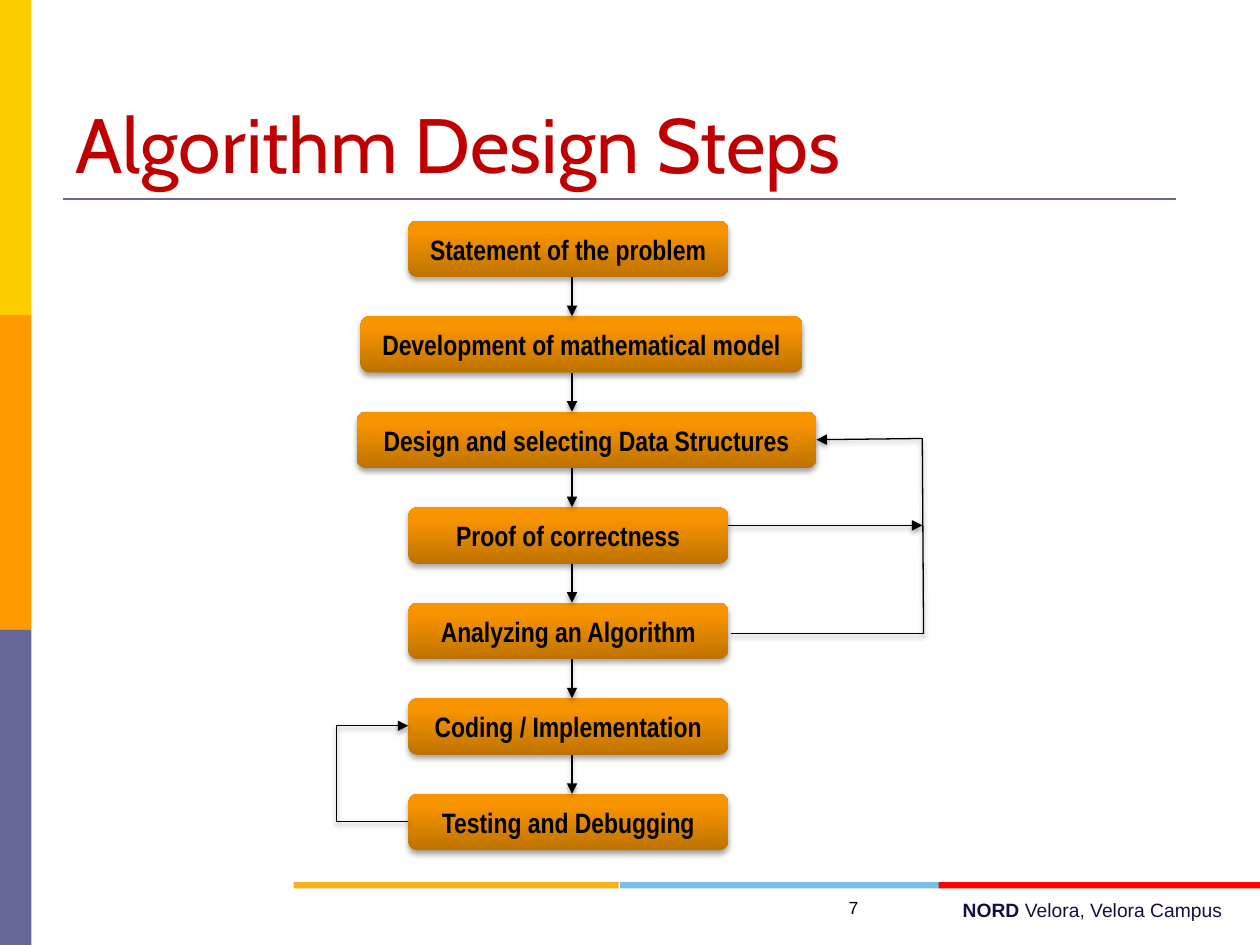
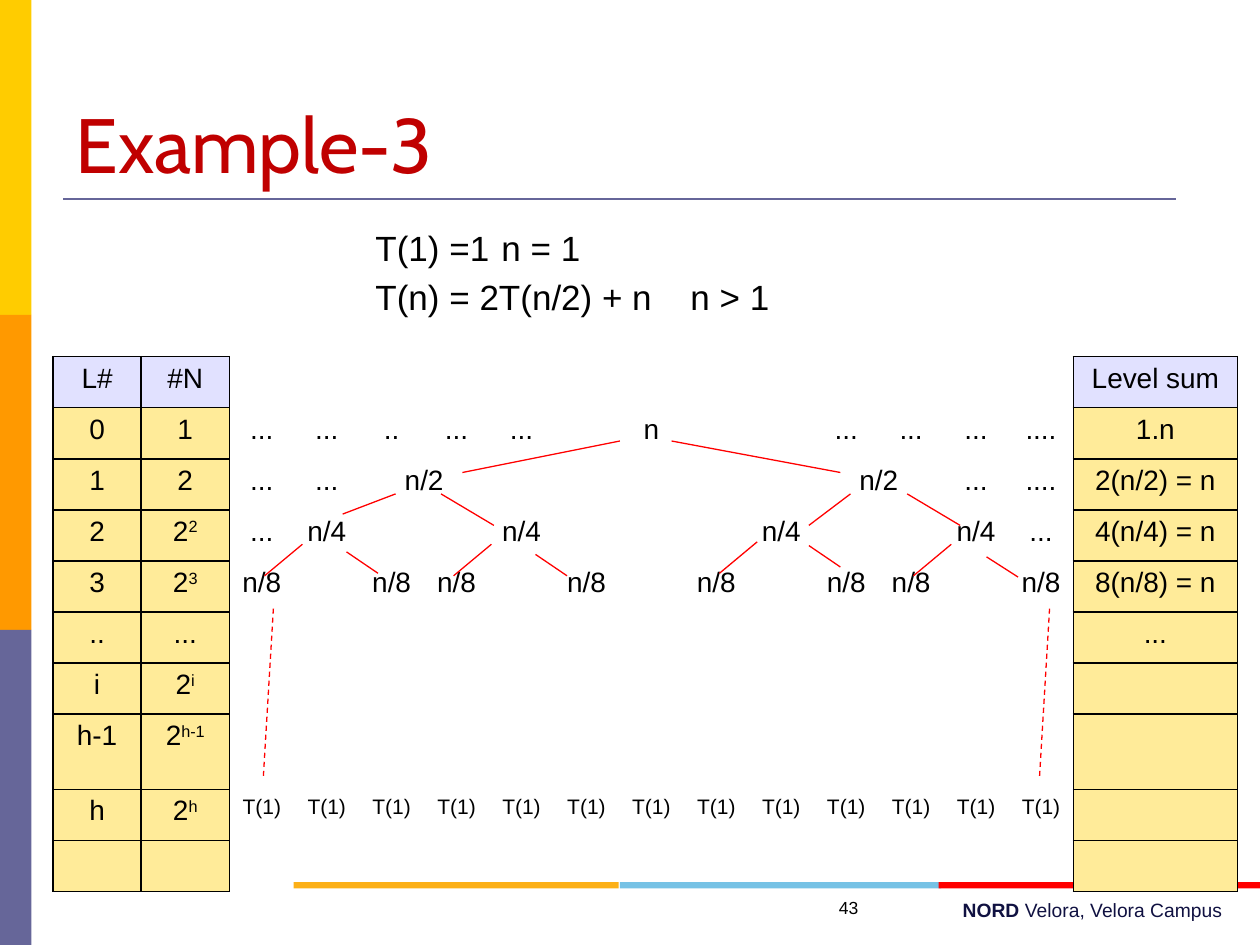
import pptx
import pptx.util
import pptx.dml.color
import pptx.enum.dml
import pptx.enum.shapes
import pptx.enum.text
import pptx.oxml
import pptx.oxml.ns
from lxml import etree
from dataclasses import dataclass

Inches, Pt = pptx.util.Inches, pptx.util.Pt
RGB = pptx.dml.color.RGBColor.from_string
Shape = pptx.enum.shapes.MSO_SHAPE
Align = pptx.enum.text.PP_ALIGN
Anchor = pptx.enum.text.MSO_ANCHOR
qn = pptx.oxml.ns.qn


@dataclass(frozen=True)
class Theme:
    yellow: str = "FFCC00"
    orange: str = "FF9900"
    violet: str = "666699"
    gold: str = "FCB017"
    sky: str = "76C2E5"
    red: str = "FF0000"
    navy: str = "101141"
    title: str = "C00000"
    ink: str = "000000"
    step_dark: str = "BE7200"
    step_light: str = "F79400"
    head_cell: str = "E1E1FF"
    side_cell: str = "FFEB99"
    title_font: str = "Cabin"
    text_font: str = "Arial"
    step_font: str = "Arial Narrow"
    title_size: int = 44
    body_size: int = 20
    label_size: int = 16
    leaf_size: int = 12
    footer_size: int = 11
    number_size: int = 10


theme = Theme()


def set_shadow(shape, alpha=0, distance=0):
    """Give a shape a soft shadow below it, or none when alpha is 0."""
    effects = etree.SubElement(shape._element.spPr, qn("a:effectLst"))
    if alpha:
        outer = etree.SubElement(effects, qn("a:outerShdw"), blurRad=str(Pt(3.1)),
                                 dist=str(Pt(distance)), dir="5400000", rotWithShape="0")
        black = etree.SubElement(outer, qn("a:srgbClr"), val=theme.ink)
        etree.SubElement(black, qn("a:alpha"), val=str(alpha * 1000))


def add_line(slide, start, end, color, width=0.75, arrow=False, dashed=False, alpha=0):
    line = slide.shapes.add_connector(pptx.enum.shapes.MSO_CONNECTOR.STRAIGHT,
                                      *[Inches(v) for v in (*start, *end)])
    line.line.color.rgb = RGB(color)
    line.line.width = Pt(width)
    if dashed:
        line.line.dash_style = pptx.enum.dml.MSO_LINE.DASH
    if arrow:
        etree.SubElement(line.line._get_or_add_ln(), qn("a:tailEnd"), type="triangle")
    set_shadow(line, alpha, 1.6)


deck = pptx.Presentation()
deck.slide_width, deck.slide_height = Inches(10), Inches(7.5)

# Shared frame: side band, title with rule, footer strip
bands = [
    (0, 0, 0.25, 2.5, theme.yellow),
    (0, 2.5, 0.25, 2.5, theme.orange),
    (0, 5, 0.25, 2.5, theme.violet),
    (4.92, 7, 2.55, 0.05, theme.sky),
    (2.33, 7, 2.58, 0.05, theme.gold),
    (7.45, 7, 2.55, 0.05, theme.red),
]
for heading, number, layout in [("Algorithm Design Steps", "7", 5), ("Example-3", "43", 1)]:
    slide = deck.slides.add_slide(deck.slide_layouts[layout])
    for *box, color in bands:
        band = slide.shapes.add_shape(Shape.RECTANGLE, *[Inches(v) for v in box])
        band.fill.solid()
        band.fill.fore_color.rgb = RGB(color)
        band.line.fill.background()
        band.shadow.inherit = False
    add_line(slide, (0.5, 1.58), (9.33, 1.58), theme.violet, 1.5)

    title = slide.shapes.title
    title.left, title.top, title.width, title.height = [Inches(v) for v in (0.5, 0.3, 9, 1.25)]
    title.text_frame.text = heading
    title.text_frame.vertical_anchor = Anchor.BOTTOM
    paragraph = title.text_frame.paragraphs[0]
    paragraph.alignment = Align.LEFT
    paragraph.font.name, paragraph.font.size = theme.title_font, Pt(theme.title_size)
    paragraph.font.color.rgb = RGB(theme.title)

    for box, parts, size, color in [
        ((3.38, 7.08, 6.42, 0.29), ["NORD ", "Velora, Velora Campus"], theme.footer_size, theme.navy),
        ((4.58, 7.07, 2.33, 0.5), [number], theme.number_size, theme.ink),
    ]:
        footer = slide.shapes.add_textbox(*[Inches(v) for v in box])
        footer.text_frame.word_wrap = True
        paragraph = footer.text_frame.paragraphs[0]
        paragraph.alignment = Align.RIGHT
        paragraph.font.name, paragraph.font.size = theme.text_font, Pt(size)
        paragraph.font.color.rgb = RGB(color)
        for part in parts:
            run = paragraph.add_run()
            run.text = part
            run.font.bold = len(parts) > 1 and part == parts[0]

steps_slide, example_slide = deck.slides

# Design steps: one box per row
first_top, box_height = 1.75, 0.45
pitch = (6.3 - first_top) / 6
steps = [
    ("Statement of the problem", 3.24, 2.54),
    ("Development of mathematical model", 2.86, 3.51),
    ("Design and selecting Data Structures", 2.83, 3.65),
    ("Proof of correctness", 3.24, 2.54),
    ("Analyzing an Algorithm", 3.24, 2.54),
    ("Coding / Implementation", 3.24, 2.54),
    ("Testing and Debugging", 3.24, 2.54),
]
for row, (label, left, width) in enumerate(steps):
    top = first_top + row * pitch
    step = steps_slide.shapes.add_shape(
        Shape.FLOWCHART_ALTERNATE_PROCESS, *[Inches(v) for v in (left, top, width, box_height)])
    step.fill.gradient()
    step.fill.gradient_angle = 90
    for stop, position, color in zip(step.fill.gradient_stops, (0, 0.8),
                                     (theme.step_dark, theme.step_light)):
        stop.position = position
        stop.color.rgb = RGB(color)
    step.line.fill.background()
    set_shadow(step, 35, 1.8)
    step.text_frame.text = label
    step.text_frame.word_wrap = True
    step.text_frame.vertical_anchor = Anchor.MIDDLE
    paragraph = step.text_frame.paragraphs[0]
    paragraph.alignment = Align.CENTER
    paragraph.font.name, paragraph.font.size = theme.step_font, Pt(theme.label_size)
    paragraph.font.bold = True
    paragraph.font.color.rgb = RGB(theme.ink)

# Arrows down, then the two feedback loops
for row in range(len(steps) - 1):
    top = first_top + row * pitch
    add_line(steps_slide, (4.54, top + box_height), (4.54, top + pitch), theme.ink,
             arrow=True, alpha=38)
for start, end, arrow in [
    ((5.8, 5.03), (7.33, 5.03), False),
    ((7.33, 5.03), (7.32, 3.48), False),
    ((7.32, 3.48), (6.48, 3.49), True),
    ((5.78, 4.17), (7.32, 4.17), True),
    ((3.24, 6.52), (2.67, 6.52), False),
    ((2.67, 6.52), (2.67, 5.76), False),
    ((2.67, 5.76), (3.24, 5.76), True),
]:
    add_line(steps_slide, start, end, theme.ink, arrow=arrow, alpha=38)

# Recurrence: two columns set by the inset and one tab stop
recurrence = example_slide.placeholders[1]
recurrence.left, recurrence.top, recurrence.width, recurrence.height = [
    Inches(v) for v in (0.5, 1.75, 9, 4.95)]
recurrence.text_frame.margin_left = Inches(2.48)
recurrence.text_frame.text = "T(1) =1\tn = 1\nT(n) = 2T(n/2) + n\tn > 1"
for paragraph in recurrence.text_frame.paragraphs:
    paragraph.font.name, paragraph.font.size = theme.text_font, Pt(theme.body_size)
    paragraph.font.color.rgb = RGB(theme.ink)
    properties = paragraph._p.get_or_add_pPr()
    properties.set("marL", "0")
    properties.set("indent", "0")
    no_bullet = etree.Element(qn("a:buNone"))
    tabs = etree.Element(qn("a:tabLst"))
    etree.SubElement(tabs, qn("a:tab"), pos=str(Inches(3)), algn="l")
    properties.insert(0, no_bullet)
    properties.insert(1, tabs)

# Recursion tree: level, node count (base, exponent), 13 tree cells, level sum
blank = "- " * 13
levels = [
    ("L#", "#N", "", blank, "Level sum"),
    ("0", "1", "", "... ... .. ... ... - n - - ... ... ... ....", "1.n"),
    ("1", "2", "", "... ... n/2 - - - - - - n/2 - ... ....", "2(n/2) = n"),
    ("2", "2", "2", "... n/4 - - n/4 - - - n/4 - - n/4 ...", "4(n/4) = n"),
    ("3", "2", "3", "n/8 - n/8 n/8 - n/8 - n/8 - n/8 n/8 - n/8", "8(n/8) = n"),
    ("..", "...", "", blank, "..."),
    ("i", "2", "i", blank, ""),
    ("h-1", "2", "h-1", blank, ""),
    ("h", "2", "h", "T(1) " * 13, ""),
    ("", "", "", blank, ""),
]
tree = example_slide.shapes.add_table(
    len(levels), 16, *[Inches(v) for v in (0.42, 2.83, 9.4, 4.28)]).table
tree.first_row = tree.horz_banding = False
tree._tbl.tblPr[0].text = "{2D5ABB26-0587-4C30-8999-92F81FD0307C}"  # no style, no grid
tree_column = (9.4 - 2 * 0.7 - 1.3) / 13
for column, width in zip(tree.columns, [0.7, 0.7] + [tree_column] * 13 + [1.3]):
    column.width = Inches(width)

for row, (level, count, exponent, nodes, total) in enumerate(levels):
    tree.rows[row].height = Pt(42.9 if level == "h-1" else 29.2)
    node_texts = ["" if node == "-" else node for node in nodes.split()]
    for column, text in enumerate([level, count, *node_texts, total]):
        cell = tree.cell(row, column)
        cell.text = text
        paragraph = cell.text_frame.paragraphs[0]
        paragraph.alignment = Align.CENTER
        paragraph.font.name = theme.text_font
        paragraph.font.size = Pt(theme.leaf_size if text == "T(1)" else theme.label_size)
        paragraph.font.color.rgb = RGB(theme.ink)
        if column == 1 and exponent:
            power = paragraph.add_run()
            power.text = exponent
            power._r.get_or_add_rPr().set("baseline", "30000")
        if column not in (0, 1, 15):
            cell.fill.background()
            continue
        cell.fill.solid()
        cell.fill.fore_color.rgb = RGB(theme.side_cell if row else theme.head_cell)
        for place, edge in enumerate(("a:lnL", "a:lnR", "a:lnT", "a:lnB")):
            border = etree.Element(qn(edge), w=str(Pt(1)))
            fill = etree.SubElement(border, qn("a:solidFill"))
            etree.SubElement(fill, qn("a:srgbClr"), val=theme.ink)
            cell._tc.get_or_add_tcPr().insert(place, border)
for column in (4, 11):
    tree.cell(2, column).merge(tree.cell(2, column + 1))

# Branches between the nodes, dashed down to the leaves
branches = [
    ((4.92, 3.5), (3.67, 3.75)), ((5.33, 3.5), (6.67, 3.75)),
    ((6.75, 3.92), (6.42, 4.17)), ((7.2, 3.92), (7.62, 4.17)),
    ((3.5, 3.92), (3.92, 4.17)), ((3.14, 3.92), (2.72, 4.08)),
    ((2.4, 4.32), (2.1, 4.57)), ((3, 4.55), (2.75, 4.38)),
    ((6.01, 4.3), (5.71, 4.55)), ((3.9, 4.32), (3.6, 4.57)),
    ((4.5, 4.57), (4.25, 4.4)), ((6.67, 4.5), (6.42, 4.33)),
    ((8.08, 4.58), (7.83, 4.42)), ((7.55, 4.32), (7.25, 4.57)),
]
for start, end in branches:
    add_line(example_slide, start, end, theme.red)
for node_x in (2.17, 8.33):
    add_line(example_slide, (node_x, 4.83), (node_x - 0.08, 6.17), theme.red, dashed=True)

deck.save("out.pptx")
